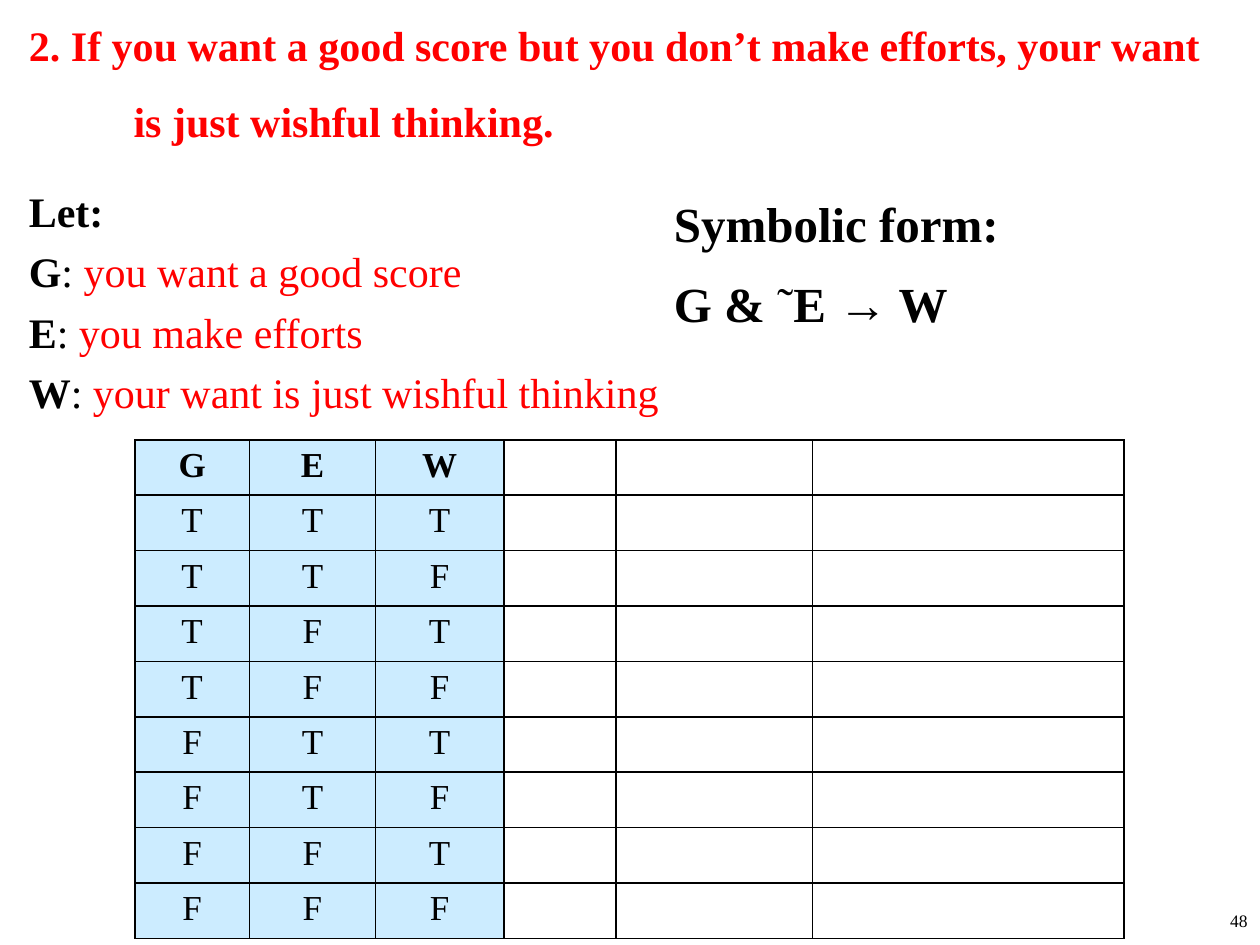
import itertools

import pptx
import pptx.dml.color
import pptx.enum.text
import pptx.oxml
import pptx.oxml.ns
import pptx.util

Inches = pptx.util.Inches
Pt = pptx.util.Pt
ALIGN = pptx.enum.text.PP_ALIGN
ANCHOR = pptx.enum.text.MSO_ANCHOR

BLACK = pptx.dml.color.RGBColor(0x00, 0x00, 0x00)
RED = pptx.dml.color.RGBColor(0xFF, 0x00, 0x00)
PALE_BLUE = pptx.dml.color.RGBColor(0xCC, 0xEC, 0xFF)
FONT = "Times New Roman"

TITLE = ("2. If you want a good score but you don’t make efforts, "
         "your want is just wishful thinking.")
PROPOSITIONS = {
    "G": "you want a good score",
    "E": "you make efforts",
    "W": "your want is just wishful thinking",
}
SLIDE_NUMBER = "48"

BOLD = {"bold": True}
PLAIN = {"bold": False}
RED_PLAIN = {"bold": False, "color": RED}

DEFINITIONS = [[("Let:", BOLD)]] + [
    [(letter, BOLD), (": ", PLAIN), (meaning, RED_PLAIN)]
    for letter, meaning in PROPOSITIONS.items()
]
SYMBOLIC_FORM = [
    [("Symbolic form:", BOLD)],
    [("G & ", BOLD), ("˜", PLAIN), ("E → W", BOLD)],
]
TRUTH_ROWS = [tuple(PROPOSITIONS), *itertools.product("TF", repeat=3)]
COLUMN_WIDTHS = [0.91, 1, 1.02, 0.89, 1.56, 2.47]
ROW_HEIGHT = 0.44


def add_run(paragraph, text, size, color=BLACK, bold=False):
    run = paragraph.add_run()
    run.text = text
    font_format = {"name": FONT, "size": Pt(size), "bold": bold}
    for attribute, value in font_format.items():
        setattr(run.font, attribute, value)
    run.font.color.rgb = color


def set_hanging_indent(paragraph, indent):
    properties = paragraph._p.get_or_add_pPr()
    properties.set("marL", str(Inches(indent)))
    properties.set("indent", str(-Inches(indent)))


def add_text_box(slide, box, lines, size, gap=0, indent=0, alignment=ALIGN.LEFT):
    shape = slide.shapes.add_textbox(*map(Inches, box))
    frame = shape.text_frame
    frame.word_wrap = True
    for index, line in enumerate(lines):
        paragraph = frame.add_paragraph() if index else frame.paragraphs[0]
        set_hanging_indent(paragraph, indent)
        paragraph.alignment = alignment
        paragraph.space_before = Pt(gap if index else 0)
        for text, style in line:
            add_run(paragraph, text, size, **style)


def fill_title(title):
    title.left, title.top = Inches(0.13), Inches(-0.07)
    title.width, title.height = Inches(9.74), Inches(1.25)
    frame = title.text_frame
    frame.auto_size = pptx.enum.text.MSO_AUTO_SIZE.NONE
    frame.vertical_anchor = ANCHOR.MIDDLE
    paragraph = frame.paragraphs[0]
    paragraph.alignment = ALIGN.LEFT
    paragraph.line_spacing = 1.5
    set_hanging_indent(paragraph, 0.83)
    add_run(paragraph, TITLE, 24, RED, bold=True)


def set_borders(cell):
    """Draw a 1 pt black line on all four sides, ahead of the cell's fill."""
    properties = cell._tc.get_or_add_tcPr()
    for position, side in enumerate(("lnL", "lnR", "lnT", "lnB")):
        properties.insert(position, pptx.oxml.parse_xml(
            f'<a:{side} {pptx.oxml.ns.nsdecls("a")} w="{Pt(1)}"><a:solidFill>'
            f'<a:srgbClr val="{BLACK}"/></a:solidFill></a:{side}>'))


def add_truth_table(slide):
    row_count, column_count = len(TRUTH_ROWS), len(COLUMN_WIDTHS)
    table = slide.shapes.add_table(
        row_count, column_count, Inches(1.07), Inches(3.49),
        Inches(sum(COLUMN_WIDTHS)), Inches(ROW_HEIGHT * row_count)).table
    table.first_row = table.horz_banding = False
    for column, width in zip(table.columns, COLUMN_WIDTHS):
        column.width = Inches(width)
    for row_index, values in enumerate(TRUTH_ROWS):
        table.rows[row_index].height = Inches(ROW_HEIGHT)
        for column_index in range(column_count):
            cell = table.cell(row_index, column_index)
            if column_index < len(values):
                cell.fill.solid()
                cell.fill.fore_color.rgb = PALE_BLUE
                paragraph = cell.text_frame.paragraphs[0]
                paragraph.alignment = ALIGN.CENTER
                add_run(paragraph, values[column_index], 20, bold=row_index == 0)
            else:
                cell.fill.background()
            set_borders(cell)


def main():
    presentation = pptx.Presentation()
    presentation.slide_width = Inches(10)
    presentation.slide_height = Inches(7.5)
    slide = presentation.slides.add_slide(presentation.slide_layouts[5])

    fill_title(slide.shapes.title)
    add_text_box(slide, (0.13, 1.42, 5.78, 1.69), DEFINITIONS, 24, gap=5.8, indent=0.5)
    add_text_box(slide, (5.25, 1.49, 4.62, 1.22), SYMBOLIC_FORM, 28, gap=11.8, indent=0.5)
    add_truth_table(slide)
    add_text_box(slide, (7.92, 7.17, 2.08, 0.33), [[(SLIDE_NUMBER, PLAIN)]], 10,
                 alignment=ALIGN.RIGHT)
    presentation.save("out.pptx")


if __name__ == "__main__":
    main()
